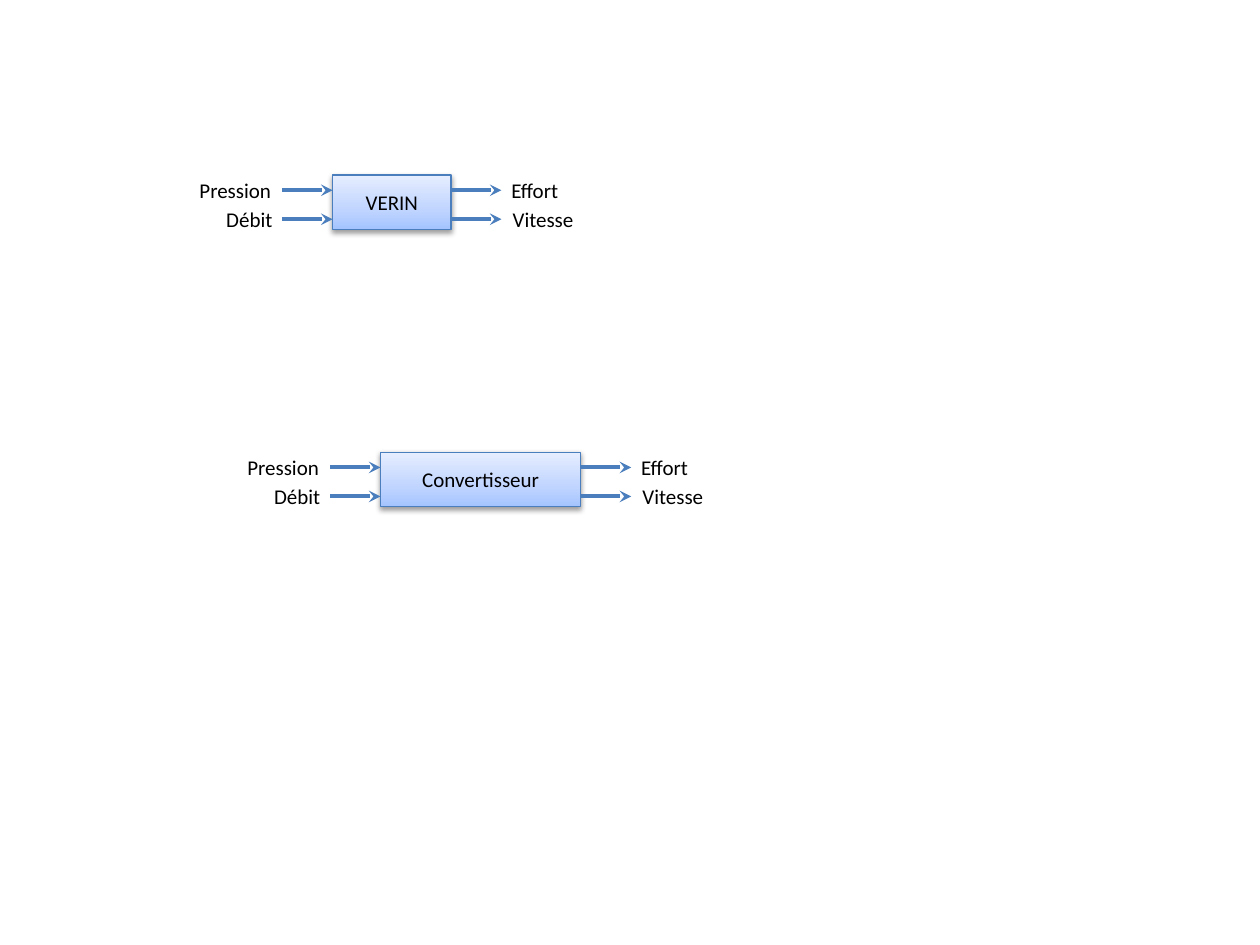
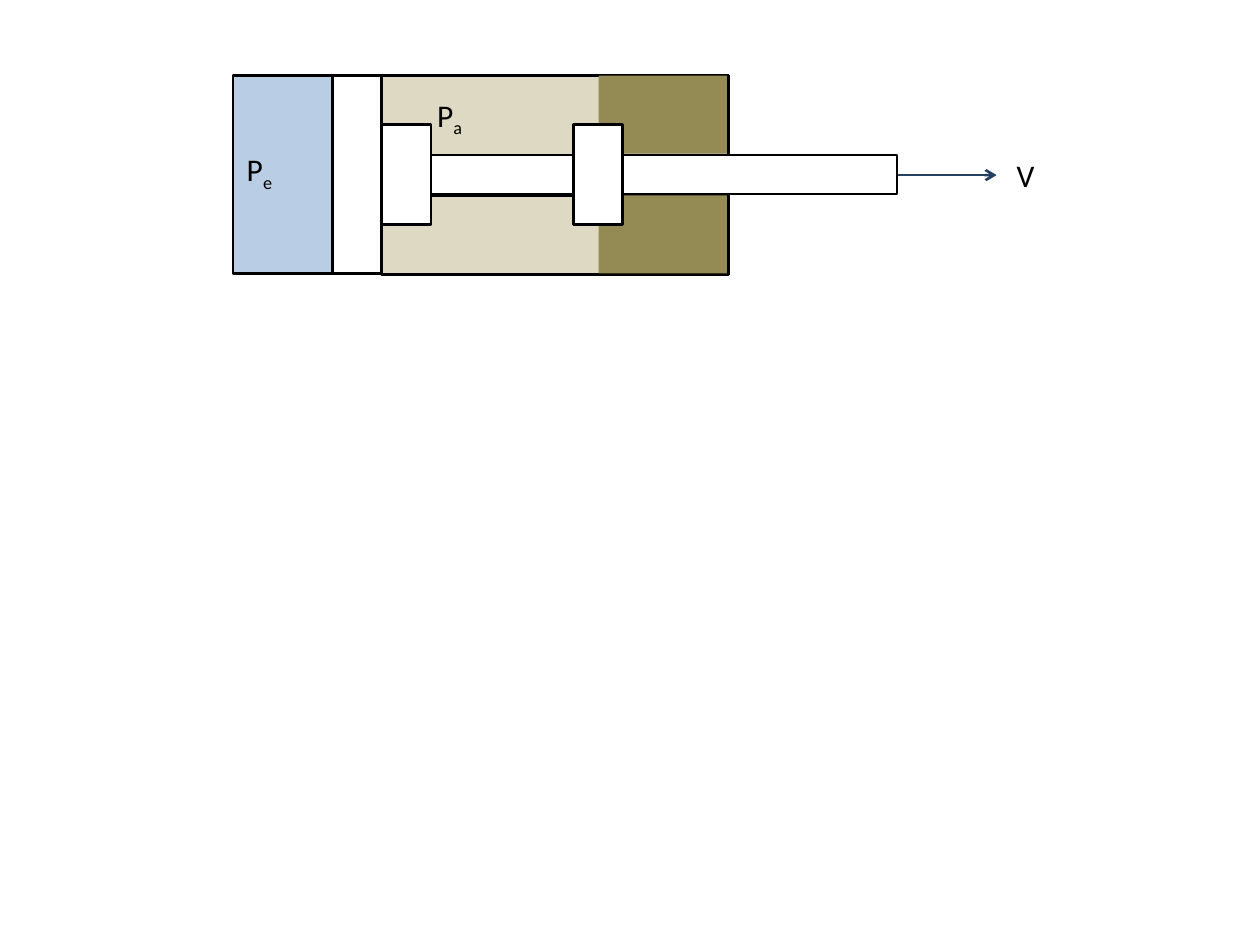
from copy import deepcopy

from lxml import etree
from pptx import Presentation
from pptx.dml.color import RGBColor
from pptx.enum.shapes import MSO_CONNECTOR, MSO_SHAPE
from pptx.enum.text import MSO_ANCHOR, MSO_AUTO_SIZE, PP_ALIGN
from pptx.oxml import parse_xml
from pptx.oxml.ns import nsdecls, qn
from pptx.util import Inches, Pt

COLORS = {
    "black": "000000", "white": "FFFFFF",
    "edge": "4B7EBC", "speed": "254061",
    "low": "A4C4FF", "mid": "BFD4FF", "high": "E6EEFF",
    "inlet": "B9CDE5", "chamber": "DDD9C3", "seal": "948A54",
}
rgb = {name: RGBColor.from_string(value) for name, value in COLORS.items()}


def write(frame, text, size=12, sub="", align=PP_ALIGN.LEFT):
    """Put text, with an optional subscript, in a text frame."""
    frame.word_wrap = True
    paragraph = frame.paragraphs[0]
    paragraph.alignment = align
    for part in filter(None, (text, sub)):
        run = paragraph.add_run()
        run.text = part
        run.font.size = Pt(size)
        run.font.name = "Calibri"
        run.font.color.rgb = rgb["black"]
        if part is sub:
            run.font._element.set("baseline", "-25000")


def add_arrow(slide, x, y, length, color, width, head):
    arrow = slide.shapes.add_connector(
        MSO_CONNECTOR.STRAIGHT, Inches(x), Inches(y), Inches(x + length), Inches(y))
    arrow.line.color.rgb = rgb[color]
    arrow.line.width = Pt(width)
    etree.SubElement(arrow.line._get_or_add_ln(), qn("a:tailEnd"), type=head)
    etree.SubElement(arrow._element.spPr, qn("a:effectLst"))


prs = Presentation()
prs.slide_width, prs.slide_height = Inches(10), Inches(7.5)
blank = prs.slide_layouts[6]

# Slide 1: two blocks, each with two inputs and two outputs
functions = prs.slides.add_slide(blank)
ARROW_LENGTH = 0.4
LABEL_WIDTH, LABEL_HEIGHT = 1.42, 0.3
# input, output, arrow offset, label offset, horizontal shift of the labels
flows = [("Pression", "Effort", 0.12, -0.03, 0),
         ("Débit", "Vitesse", 0.35, 0.2, 0.01)]

for name, left, top, width in [("VERIN", 2.64, 1.39, 0.94),
                               ("Convertisseur", 3.02, 3.59, 1.59)]:
    block = functions.shapes.add_shape(
        MSO_SHAPE.RECTANGLE, Inches(left), Inches(top), Inches(width), Inches(0.43))
    block.line.color.rgb = rgb["edge"]
    block.line.width = Pt(0.75)

    # Three-stop gradient, pale at the top
    block.fill.gradient()
    block.fill.gradient_angle = 90
    first_stop = block._element.spPr.find(".//" + qn("a:gs"))
    first_stop.addnext(deepcopy(first_stop))
    for stop, (position, color) in zip(block.fill.gradient_stops,
                                       [(0, "low"), (0.35, "mid"), (1, "high")]):
        stop.position = position
        stop.color.rgb = rgb[color]

    # Soft shadow below the block
    block.shadow.inherit = False
    block._element.spPr.find(qn("a:effectLst")).append(parse_xml(
        f'<a:outerShdw {nsdecls("a")} blurRad="{Pt(3.1)}" dist="{Pt(1.6)}" '
        f'dir="5400000" rotWithShape="0"><a:srgbClr val="{COLORS["black"]}">'
        '<a:alpha val="38000"/></a:srgbClr></a:outerShdw>'))
    block.text_frame.vertical_anchor = MSO_ANCHOR.MIDDLE
    write(block.text_frame, name, align=PP_ALIGN.CENTER)

    right = left + width
    for source, result, arrow_dy, label_dy, shift in flows:
        for x in (left - ARROW_LENGTH, right):
            add_arrow(functions, x, top + arrow_dy, ARROW_LENGTH, "edge", 2.25, "stealth")
        for text, x, align in [(source, left - 1.81 + shift, PP_ALIGN.RIGHT),
                               (result, right + 0.38 + shift, PP_ALIGN.LEFT)]:
            label = functions.shapes.add_textbox(
                Inches(x), Inches(top + label_dy), Inches(LABEL_WIDTH), Inches(LABEL_HEIGHT))
            label.text_frame.auto_size = MSO_AUTO_SIZE.SHAPE_TO_FIT_TEXT
            write(label.text_frame, text, align=align)

# Slide 2: section through the cylinder
section = prs.slides.add_slide(blank)
TOP, HEIGHT = 0.6, 1.57
ROD_TOP, ROD_HEIGHT = 1.23, 0.31
PISTON_LEFT, PISTON_RIGHT = 2.64, 3.03
SEAL_LEFT, SEAL_WIDTH = 4.75, 1.02
LOWER_TOP = ROD_TOP + ROD_HEIGHT + 0.01
CUSHION_TOP, CUSHION_WIDTH, CUSHION_HEIGHT = 0.99, 0.39, 0.79

# left, top, width, height, fill, outlined; from back to front
parts = [
    (PISTON_RIGHT, TOP, 2.75, 0.63, "chamber", True),
    (1.85, TOP, 0.79, HEIGHT, "inlet", True),
    (PISTON_LEFT, TOP, 0.39, HEIGHT, "white", True),
    (PISTON_RIGHT, LOWER_TOP, 2.75, 0.63, "chamber", True),
    (SEAL_LEFT, LOWER_TOP, SEAL_WIDTH, 0.62, "seal", False),
    (PISTON_RIGHT, ROD_TOP, 4.09, ROD_HEIGHT, "white", True),
    (SEAL_LEFT, TOP, SEAL_WIDTH, 0.62, "seal", False),
    (PISTON_RIGHT, CUSHION_TOP, CUSHION_WIDTH, CUSHION_HEIGHT, "white", True),
    (4.55, CUSHION_TOP, CUSHION_WIDTH, CUSHION_HEIGHT, "white", True),
]
for left, top, width, height, color, outlined in parts:
    part = section.shapes.add_shape(
        MSO_SHAPE.RECTANGLE, Inches(left), Inches(top), Inches(width), Inches(height))
    part.shadow.inherit = False
    part.fill.solid()
    part.fill.fore_color.rgb = rgb[color]
    if outlined:
        part.line.color.rgb = rgb["black"]
        part.line.width = Pt(1.5)
    else:
        part.line.fill.background()

# Pressures and speed
add_arrow(section, 7.13, 1.39, 0.78, "speed", 1.5, "arrow")
for symbol, index, left, top in [("P", "e", 1.86, 1.14),
                                 ("P", "a", 3.37, 0.71),
                                 ("V", "", 7.97, 1.19)]:
    quantity = section.shapes.add_textbox(
        Inches(left), Inches(top), Inches(1.02), Inches(0.4))
    quantity.text_frame.auto_size = MSO_AUTO_SIZE.SHAPE_TO_FIT_TEXT
    write(quantity.text_frame, symbol, size=18, sub=index)

prs.save("out.pptx")
